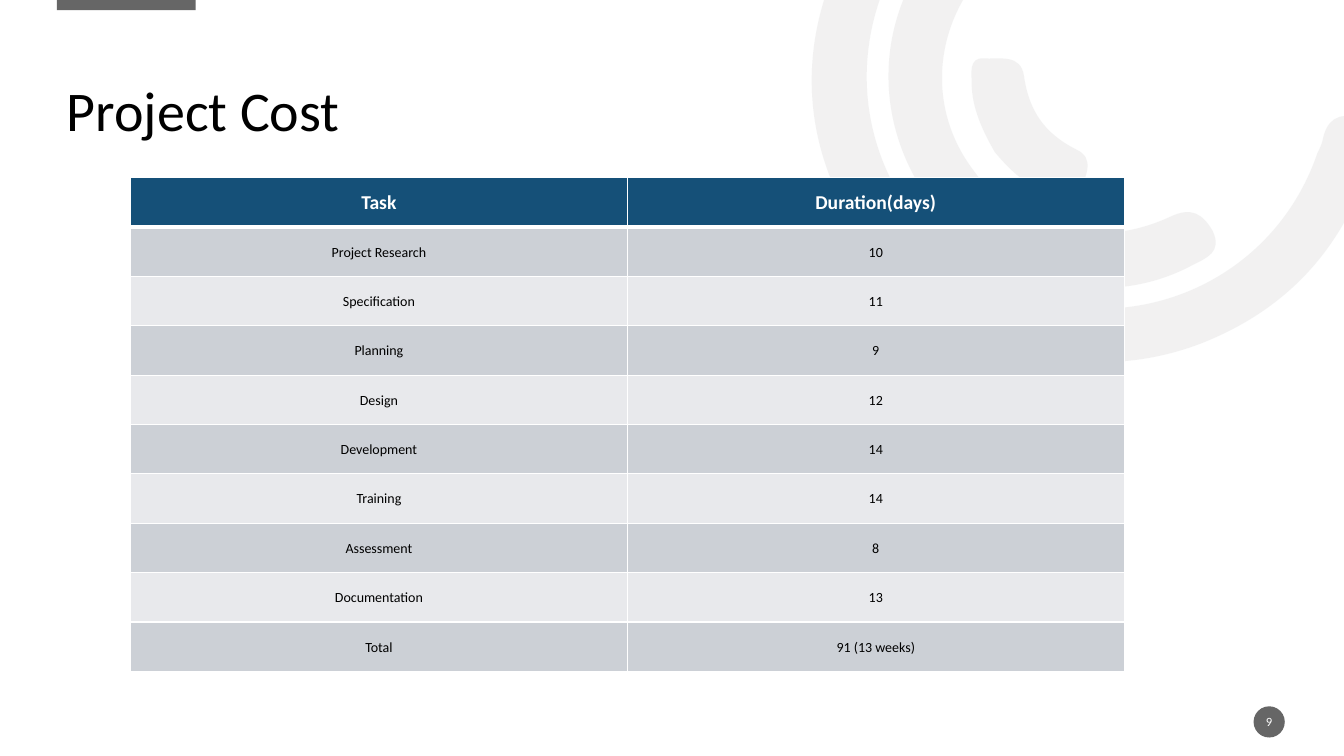
from pptx import Presentation
from pptx.dml.color import RGBColor
from pptx.enum.shapes import MSO_SHAPE as Shape
from pptx.enum.text import MSO_ANCHOR as Anchor, PP_ALIGN as Align
from pptx.oxml import parse_xml
from pptx.oxml.ns import nsdecls, qn
from pptx.util import Pt

FONT = "Calibri"
WHITE, BLACK, GREY, SILVER = "FFFFFF", "000000", "666666", "E7E6E6"
NAVY, DARK_BAND, LIGHT_BAND = "155078", "CCD0D6", "E8E9EC"

TASKS = [
    ("Task", "Duration(days)"),
    ("Project Research", "10"),
    ("Specification", "11"),
    ("Planning", "9"),
    ("Design", "12"),
    ("Development", "14"),
    ("Training", "14"),
    ("Assessment", "8"),
    ("Documentation", "13"),
    ("Total", "91 (13 weeks)"),
]

# Each arc: a start point, then Bezier curves (two handles and an end point),
# in units of 0.72 pt relative to the corner of the artwork
ARC_UNIT = Pt(0.72)
ARCS = [
    ((51, 439), [
        (-1, 359), (-13, 260), (38, 160), (90, 58), (176, 7), (290, 3),
        (305, 3), (321, 0), (331, 15), (344, 35), (327, 56), (298, 56),
        (167, 56), (65, 151), (60, 278), (56, 391), (136, 491), (246, 512),
        (360, 534), (470, 471), (507, 362), (509, 358), (511, 354), (512, 350),
        (516, 329), (527, 321), (549, 327), (573, 334), (567, 351), (561, 366),
        (534, 455), (478, 517), (391, 551), (270, 597), (136, 555), (51, 439)]),
    ((122, 409), [
        (62, 325), (69, 217), (140, 142), (151, 131), (162, 115), (180, 132),
        (195, 146), (197, 160), (179, 178), (125, 236), (120, 318), (165, 378),
        (208, 439), (288, 459), (361, 425), (382, 415), (393, 422), (403, 439),
        (413, 460), (397, 466), (383, 473), (296, 520), (183, 492), (122, 409)]),
    ((187, 361), [
        (175, 340), (164, 317), (164, 292), (164, 283), (161, 267), (176, 268),
        (192, 269), (213, 263), (216, 286), (221, 320), (236, 342), (267, 358),
        (288, 367), (276, 386), (272, 399), (268, 416), (255, 408), (245, 404),
        (221, 397), (203, 380), (187, 361)]),
]


def color(value):
    return RGBColor.from_string(value)


def paint(shape, fill):
    shape.shadow.inherit = False
    shape.fill.solid()
    shape.fill.fore_color.rgb = color(fill)
    shape.line.fill.background()


def write(frame, text, size, ink, align, bold=False):
    frame.text = text
    para = frame.paragraphs[0]
    para.alignment = align
    font = para.runs[0].font
    font.name, font.size, font.bold = FONT, Pt(size), bold
    font.color.rgb = color(ink)
    return para


def bend(shape):
    """Turn every three line segments of a freeform into one Bezier curve."""
    segments = list(shape.element.iter(qn("a:lnTo")))
    for first in range(0, len(segments), 3):
        curve = parse_xml(f'<a:cubicBezTo {nsdecls("a")}/>')
        segments[first].addprevious(curve)
        for segment in segments[first:first + 3]:
            curve.append(segment[0])
            segment.getparent().remove(segment)


def add_arcs(page, left, top):
    title = page.shapes.title
    for start, points in ARCS:
        builder = page.shapes.build_freeform(*start, scale=ARC_UNIT)
        builder.add_line_segments(points, close=True)
        arc = builder.convert_to_shape(Pt(left), Pt(top))
        bend(arc)
        paint(arc, SILVER)
        tint = arc.element.spPr.find(qn("a:solidFill"))[0]
        tint.append(parse_xml(f'<a:alpha {nsdecls("a")} val="53000"/>'))
        title.element.addprevious(arc.element)  # keep the arcs behind the title


def add_title(page, left, top, width, height):
    title = page.shapes.title
    title.left, title.top, title.width, title.height = map(Pt, (left, top, width, height))
    title.text_frame.vertical_anchor = Anchor.MIDDLE
    para = write(title.text_frame, "Project Cost", 40, BLACK, Align.LEFT)
    para.line_spacing = 0.9


def add_block(page, fill, left, top, width, height):
    block = page.shapes.add_shape(Shape.RECTANGLE, *map(Pt, (left, top, width, height)))
    paint(block, fill)


def add_page_number(page, left, top, size):
    badge = page.shapes.add_shape(Shape.OVAL, *map(Pt, (left, top, size, size)))
    paint(badge, GREY)
    frame = badge.text_frame
    frame.margin_left = frame.margin_right = frame.margin_top = frame.margin_bottom = 0
    frame.vertical_anchor = Anchor.MIDDLE
    frame.word_wrap = False
    write(frame, "9", 9, WHITE, Align.CENTER)


def add_borders(cell, bottom):
    properties = cell._tc.get_or_add_tcPr()
    for side, weight in (("L", 1), ("R", 1), ("T", 1), ("B", bottom)):
        properties.append(parse_xml(
            f'<a:ln{side} {nsdecls("a")} w="{Pt(weight)}"><a:solidFill>'
            f'<a:srgbClr val="{WHITE}"/></a:solidFill></a:ln{side}>'))


def add_task_table(page, left, top, width, height):
    box = map(Pt, (left, top, width, height))
    table = page.shapes.add_table(len(TASKS), len(TASKS[0]), *box).table
    for row, texts in enumerate(TASKS):
        header = row == 0
        fill = NAVY if header else DARK_BAND if row % 2 else LIGHT_BAND
        for column, text in enumerate(texts):
            cell = table.cell(row, column)
            add_borders(cell, 3 if header else 1)
            cell.fill.solid()
            cell.fill.fore_color.rgb = color(fill)
            cell.vertical_anchor = Anchor.MIDDLE
            cell.margin_left = cell.margin_right = Pt(5)
            cell.margin_top = cell.margin_bottom = 0
            para = write(cell.text_frame, text, 14 if header else 10,
                         WHITE if header else BLACK, Align.CENTER, header)
            para.line_spacing, para.space_after = 1.07, Pt(8)


def build_cost_slide(deck):
    page = deck.slides.add_slide(deck.slide_layouts[5])
    # Background artwork and tab
    add_arcs(page, 576, -151.2)
    add_block(page, GREY, 40.6, -1.5, 99.2, 8.7)
    # Title and table
    add_title(page, 40.6, 28.8, 853.2, 104.4)
    add_task_table(page, 93.2, 126.9, 709.8, 352.8)
    # Page number and blank footer panel
    add_page_number(page, 895.4, 504.5, 22.3)
    add_block(page, WHITE, 30.2, 495.4, 88.6, 32.4)


def main():
    deck = Presentation()
    deck.slide_width, deck.slide_height = Pt(960), Pt(540)
    build_cost_slide(deck)
    deck.save("out.pptx")


if __name__ == "__main__":
    main()
